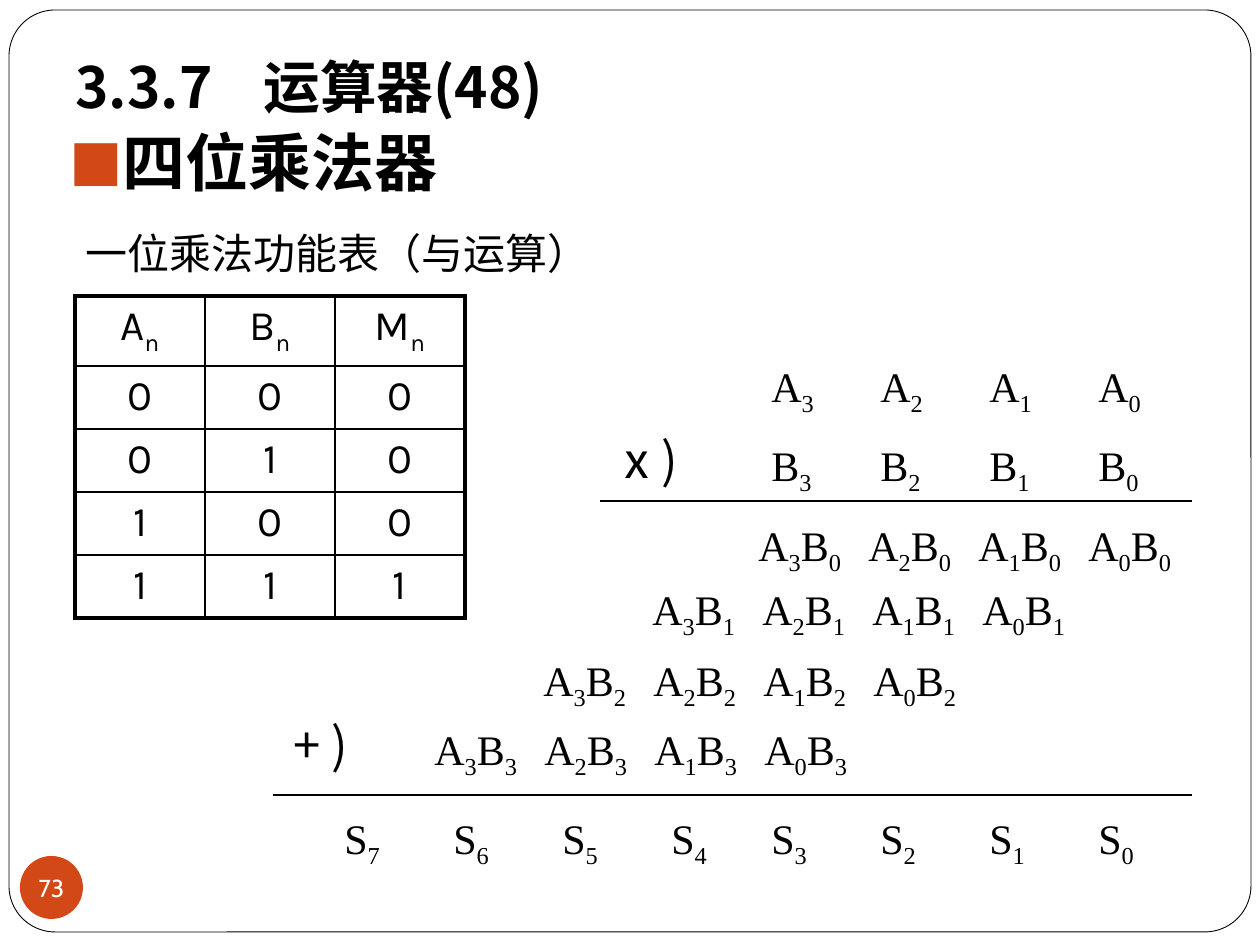
from lxml import etree
from pptx import Presentation
from pptx.dml.color import RGBColor
from pptx.enum.shapes import MSO_CONNECTOR, MSO_SHAPE
from pptx.enum.text import MSO_ANCHOR, PP_ALIGN
from pptx.oxml.ns import qn
from pptx.util import Emu, Pt

STRAIGHT = MSO_CONNECTOR.STRAIGHT
ROUNDED, OVAL = MSO_SHAPE.ROUNDED_RECTANGLE, MSO_SHAPE.OVAL
TOP, MIDDLE, BOTTOM = MSO_ANCHOR.TOP, MSO_ANCHOR.MIDDLE, MSO_ANCHOR.BOTTOM
LEFT, CENTER = PP_ALIGN.LEFT, PP_ALIGN.CENTER
COLORS = {"ink": "000000", "paper": "FFFFFF", "accent": "D34817"}
CJK, SERIF, TABLE_FONT, NUMBER_FONT = "Noto Sans CJK JP", "Times New Roman", "Karla", "Cabin"
TRUTH_TABLE = [("An", "Bn", "Mn"), "000", "010", "100", "111"]


def px(value):
    return Emu(round(value * 914400 / 126))


def color(name):
    return RGBColor.from_string(COLORS[name])


class SlideBuilder:
    """Draws styled elements on the current slide, with lengths in px."""

    def __init__(self, slide):
        self.slide = slide

    def style(self, paragraph, size, font, ink="ink", bold=False, align=LEFT):
        paragraph.alignment = align
        paragraph.font.size = Pt(size)
        paragraph.font.name = font
        paragraph.font.bold = bold
        paragraph.font.color.rgb = color(ink)
        defaults = paragraph._p.pPr.find(qn("a:defRPr"))
        etree.SubElement(defaults, qn("a:ea")).set("typeface", font)

    def text(self, left, top, width, height, words, size=24, font=CJK,
             bold=False, wrap=False, anchor=TOP):
        frame = self.slide.shapes.add_textbox(px(left), px(top), px(width), px(height)).text_frame
        frame.word_wrap = wrap
        frame.vertical_anchor = anchor
        paragraph = frame.paragraphs[0]
        paragraph.text = words
        self.style(paragraph, size, font, bold=bold)
        return paragraph

    def symbols(self, paragraph, term):
        for index, character in enumerate(term):
            run = paragraph.add_run()
            run.text = character
            if index % 2:
                run._r.get_or_add_rPr().set("baseline", "-25000")

    def term(self, left, top, width, term):
        self.symbols(self.text(left, top, width, 63, "", font=SERIF), term)

    def shape(self, kind, left, top, width, height, fill, line=None):
        shape = self.slide.shapes.add_shape(kind, px(left), px(top), px(width), px(height))
        shape.shadow.inherit = False
        shape.fill.solid()
        shape.fill.fore_color.rgb = color(fill)
        if line:
            shape.line.color.rgb = color(line)
            shape.line.width = Pt(0.5)
        else:
            shape.line.fill.background()
        return shape

    def badge(self, left, top, size, words):
        frame = self.shape(OVAL, left, top, size, size, "accent").text_frame
        frame.margin_left = frame.margin_right = frame.margin_top = frame.margin_bottom = 0
        frame.word_wrap = False
        frame.vertical_anchor = MIDDLE
        frame.text = words
        self.style(frame.paragraphs[0], 14, NUMBER_FONT, "paper", align=CENTER)

    def title(self, left, top, width, height, number, words):
        paragraph = self.text(left, top, width, height, f"{number}\t{words}", 32.4,
                              bold=True, wrap=True, anchor=BOTTOM)
        tabs = etree.Element(qn("a:tabLst"))
        etree.SubElement(tabs, qn("a:tab"), pos=str(px(188)), algn="l")
        paragraph._p.pPr.find(qn("a:defRPr")).addprevious(tabs)

    def bullet(self, left, top, width, height, words):
        paragraph = self.text(left, top, width, height, words, 36, bold=True, wrap=True)
        paragraph.line_spacing = 0.9
        paragraph.space_before = Pt(5.8)
        properties = paragraph._p.pPr
        properties.set("marL", str(px(49)))
        properties.set("indent", str(-px(49)))
        defaults = properties.find(qn("a:defRPr"))
        bullet_color = etree.Element(qn("a:buClr"))
        etree.SubElement(bullet_color, qn("a:srgbClr"), val=COLORS["accent"])
        defaults.addprevious(bullet_color)
        for tag, name, value in (("buSzPct", "val", "85000"), ("buFont", "typeface", CJK),
                                 ("buChar", "char", "■")):
            element = etree.Element(qn(f"a:{tag}"))
            element.set(name, value)
            defaults.addprevious(element)

    def rule(self, left, right, y):
        connector = self.slide.shapes.add_connector(STRAIGHT, px(left), px(y), px(right), px(y))
        connector.line.color.rgb = color("ink")
        connector.line.width = Pt(0.75)
        etree.SubElement(connector._element.spPr, qn("a:effectLst"))

    def border(self, cell, side, width):
        line = etree.SubElement(cell._tc.get_or_add_tcPr(), qn(f"a:{side}"), w=str(Pt(width)))
        fill = etree.SubElement(line, qn("a:solidFill"))
        etree.SubElement(fill, qn("a:srgbClr"), val=COLORS["ink"])

    def table(self, left, top, column_width, heights, rows):
        last_row, last_column = len(rows) - 1, len(rows[0]) - 1
        table = self.slide.shapes.add_table(
            len(rows), len(rows[0]), px(left), px(top),
            px(column_width * len(rows[0])), px(sum(heights))).table
        table.first_row = table.horz_banding = False
        for column in table.columns:
            column.width = px(column_width)
        for r, values in enumerate(rows):
            table.rows[r].height = px(heights[r])
            for c, value in enumerate(values):
                cell = table.cell(r, c)
                paragraph = cell.text_frame.paragraphs[0]
                self.symbols(paragraph, value)
                self.style(paragraph, 24, TABLE_FONT, align=CENTER)
                outer = {"lnL": c == 0, "lnR": c == last_column,
                         "lnT": r == 0, "lnB": r == last_row}
                for side, is_outer in outer.items():
                    self.border(cell, side, 2.25 if is_outer else 1)
                cell.fill.background()


def main():
    presentation = Presentation()
    presentation.slide_width, presentation.slide_height = px(1260), px(945)
    builder = SlideBuilder(presentation.slides.add_slide(presentation.slide_layouts[6]))

    frame = builder.shape(ROUNDED, 9, 10, 1242, 922, "paper", "ink")
    frame.adjustments[0] = 0.05
    builder.badge(20, 856, 63, "73")
    builder.bullet(57, 126, 1149, 793, "四位乘法器")
    builder.title(63, 42, 1176, 84, "3.3.7", "运算器(48)")

    for digit in range(4):
        left = 1086 - 109 * digit
        builder.term(left, 354, 70, f"A{digit}")
        builder.term(left, 433, 70, f"B{digit}")
    builder.text(600, 423, 103, 72, "ⅹ)", 28)
    builder.rule(600, 1192, 501)

    for b, (start, top) in enumerate([(1076, 513), (970, 577), (861, 648), (752, 717)]):
        for a in range(4):
            builder.term(start - 110 * a, top, 112, f"A{a}B{b}")
    builder.rule(273, 1192, 795)
    builder.text(281, 708, 91, 72, "+ )", 28)
    for digit in range(8):
        builder.term(1086 - 109 * digit + (9 if digit > 3 else 0), 806, 63, f"S{digit}")

    builder.table(75, 296, 130, [70, 63, 63, 63, 63], TRUTH_TABLE)
    builder.text(73, 221, 534, 63, "一位乘法功能表（与运算）")
    presentation.save("out.pptx")


if __name__ == "__main__":
    main()
